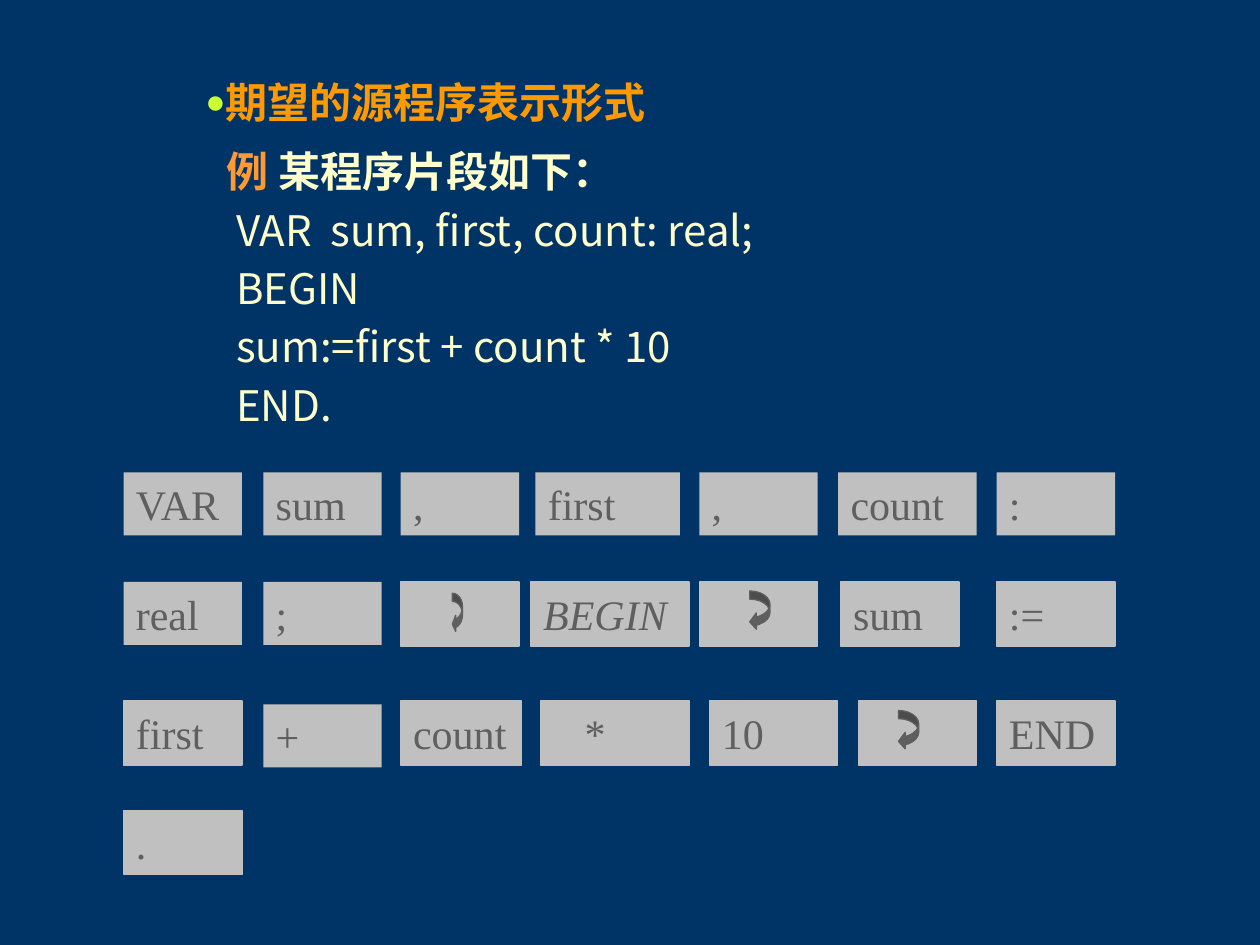
from dataclasses import dataclass

from lxml import etree
from pptx import Presentation
from pptx.dml.color import RGBColor
from pptx.enum.shapes import MSO_SHAPE
from pptx.enum.text import MSO_ANCHOR, MSO_AUTO_SIZE, PP_ALIGN
from pptx.oxml.ns import qn
from pptx.util import Pt

RECTANGLE = MSO_SHAPE.RECTANGLE
CURVED_ARROW = MSO_SHAPE.CURVED_LEFT_ARROW
LEFT_ALIGN = PP_ALIGN.LEFT
TOP = MSO_ANCHOR.TOP
MIDDLE = MSO_ANCHOR.MIDDLE
NO_FIT = MSO_AUTO_SIZE.NONE

CJK = "Noto Sans CJK SC"
SERIF = "Times New Roman"
NAVY, GREY, DARK = "003366", "C0C0C0", "5F5F5F"
ORANGE, AMBER, CREAM, LIME = "FF9900", "FF9933", "FFFFCC", "CCFF33"
TEXT_SIZE = 24
LINE_PITCH = 33.4
HANGING = 27
TOKEN_WIDTH = 67.7
TOKEN_HEIGHT = 36
OUTLINED_HEIGHT = 36.7
ARROW_HEIGHT = 22.3
COLUMN_1, COLUMN_2, COLUMN_3, COLUMN_5, COLUMN_7 = 70.6, 150.5, 229, 399.6, 569.5


@dataclass(frozen=True)
class Token:
    left: float
    text: str = ""
    width: float = TOKEN_WIDTH
    outlined: bool = True
    italic: bool = False
    indent: float = 0
    drop: float = 0


@dataclass(frozen=True)
class Row:
    top: float
    tokens: tuple[Token, ...]


@dataclass(frozen=True)
class ReturnArrow:
    left: float
    top: float
    width: float


ROWS = (
    Row(270, (
        Token(COLUMN_1, "VAR", outlined=False),
        Token(COLUMN_2, "sum", outlined=False),
        Token(COLUMN_3, ",", outlined=False),
        Token(306, "first", 82.5, outlined=False),
        Token(COLUMN_5, ",", outlined=False),
        Token(479, "count", 79.2, outlined=False),
        Token(COLUMN_7, ":", outlined=False),
    )),
    Row(332.5, (
        Token(COLUMN_1, "real", outlined=False),
        Token(COLUMN_2, ";", outlined=False),
        Token(COLUMN_3),
        Token(303.3, "BEGIN", 90.5, italic=True),
        Token(COLUMN_5),
        Token(480.4, "sum"),
        Token(COLUMN_7, ":="),
    )),
    Row(400.5, (
        Token(COLUMN_1, "first"),
        Token(COLUMN_2, "+", outlined=False, drop=2),
        Token(COLUMN_3, "count", 69),
        Token(309, "*", 85, indent=18),
        Token(405.4, "10", 73.4),
        Token(490.5),
        Token(COLUMN_7, "END"),
    )),
    Row(463, (Token(COLUMN_1, "."),)),
)

ARROWS = (
    ReturnArrow(258.5, 339, 5.8),
    ReturnArrow(428.4, 337.7, 11.6),
    ReturnArrow(513.4, 406, 11.6),
)

CODE_LINES = (
    " VAR  sum, first, count: real;",
    " BEGIN",
    " sum:=first + count * 10",
    " END.",
)


def color(value: str) -> RGBColor:
    return RGBColor.from_string(value)


def add_run(paragraph, text: str, font_name: str, fill: str,
            bold: bool = False, italic: bool = False) -> None:
    run = paragraph.add_run()
    run.text = text
    font = run.font
    font.name = font_name
    font.size = Pt(TEXT_SIZE)
    font.bold = bold
    font.italic = italic
    font.color.rgb = color(fill)
    if font_name == CJK or bold:
        east_asian = etree.SubElement(run._r.get_or_add_rPr(), qn("a:ea"))
        east_asian.set("typeface", CJK)


def set_margins(paragraph, margin: float, indent: float):
    properties = paragraph._p.get_or_add_pPr()
    properties.set("marL", str(Pt(margin)))
    properties.set("indent", str(Pt(indent)))
    return properties


def format_line(paragraph) -> None:
    paragraph.alignment = LEFT_ALIGN
    paragraph.line_spacing = Pt(LINE_PITCH)
    paragraph.space_before = Pt(0)


def place_text(shape, left: float, top: float, width: float, height: float):
    shape.left, shape.top = Pt(left), Pt(top)
    shape.width, shape.height = Pt(width), Pt(height)
    frame = shape.text_frame
    frame.auto_size = NO_FIT
    frame.word_wrap = True
    frame.vertical_anchor = TOP
    return frame


def fill_heading(shape) -> None:
    paragraph = place_text(shape, 110.2, 35.5, 320, 41).paragraphs[0]
    format_line(paragraph)
    properties = set_margins(paragraph, 0, 0)
    bullet_color = etree.SubElement(properties, qn("a:buClr"))
    etree.SubElement(bullet_color, qn("a:srgbClr")).set("val", LIME)
    etree.SubElement(properties, qn("a:buSzPct")).set("val", "80000")
    etree.SubElement(properties, qn("a:buFont")).set("typeface", SERIF)
    etree.SubElement(properties, qn("a:buChar")).set("char", "●")
    add_run(paragraph, "期望的源程序表示形式", SERIF, ORANGE, bold=True)


def fill_program(shape) -> None:
    frame = place_text(shape, 122.4, 75, 578, 176)
    paragraphs = [frame.paragraphs[0]] + [frame.add_paragraph() for _ in CODE_LINES]
    for paragraph in paragraphs:
        format_line(paragraph)
        properties = set_margins(paragraph, HANGING, -HANGING)
        etree.SubElement(properties, qn("a:buNone"))
    add_run(paragraphs[0], "例 ", CJK, AMBER, bold=True)
    add_run(paragraphs[0], "某程序片段如下：", CJK, CREAM, bold=True)
    for paragraph, line in zip(paragraphs[1:], CODE_LINES):
        add_run(paragraph, line, CJK, CREAM)


def paint(shape, fill: str, outlined: bool) -> None:
    shape.shadow.inherit = False
    shape.fill.solid()
    shape.fill.fore_color.rgb = color(fill)
    if outlined:
        shape.line.color.rgb = color(fill)
        shape.line.width = Pt(0.75)
    else:
        shape.line.fill.background()


def draw_token(slide, token: Token, top: float) -> None:
    height = OUTLINED_HEIGHT if token.outlined else TOKEN_HEIGHT
    shape = slide.shapes.add_shape(RECTANGLE, Pt(token.left), Pt(top + token.drop),
                                   Pt(token.width), Pt(height))
    paint(shape, GREY, token.outlined)
    if token.text:
        frame = shape.text_frame
        frame.word_wrap = True
        frame.vertical_anchor = MIDDLE
        paragraph = frame.paragraphs[0]
        paragraph.alignment = LEFT_ALIGN
        set_margins(paragraph, token.indent, 0)
        add_run(paragraph, token.text, SERIF, DARK, italic=token.italic)


def draw_arrow(slide, arrow: ReturnArrow) -> None:
    shape = slide.shapes.add_shape(CURVED_ARROW, Pt(arrow.left), Pt(arrow.top),
                                   Pt(arrow.width), Pt(ARROW_HEIGHT))
    paint(shape, DARK, True)
    thickness = 4.66 / arrow.width
    for index, value in enumerate((thickness, 2 * thickness, 0.33)):
        shape.adjustments[index] = value


def main() -> None:
    presentation = Presentation()
    presentation.slide_width, presentation.slide_height = Pt(720), Pt(540)
    slide = presentation.slides.add_slide(presentation.slide_layouts[1])
    slide.background.fill.solid()
    slide.background.fill.fore_color.rgb = color(NAVY)
    fill_heading(slide.shapes.title)
    fill_program(slide.placeholders[1])
    for row in ROWS:
        for token in row.tokens:
            draw_token(slide, token, row.top)
    for arrow in ARROWS:
        draw_arrow(slide, arrow)
    presentation.save("out.pptx")


if __name__ == "__main__":
    main()
